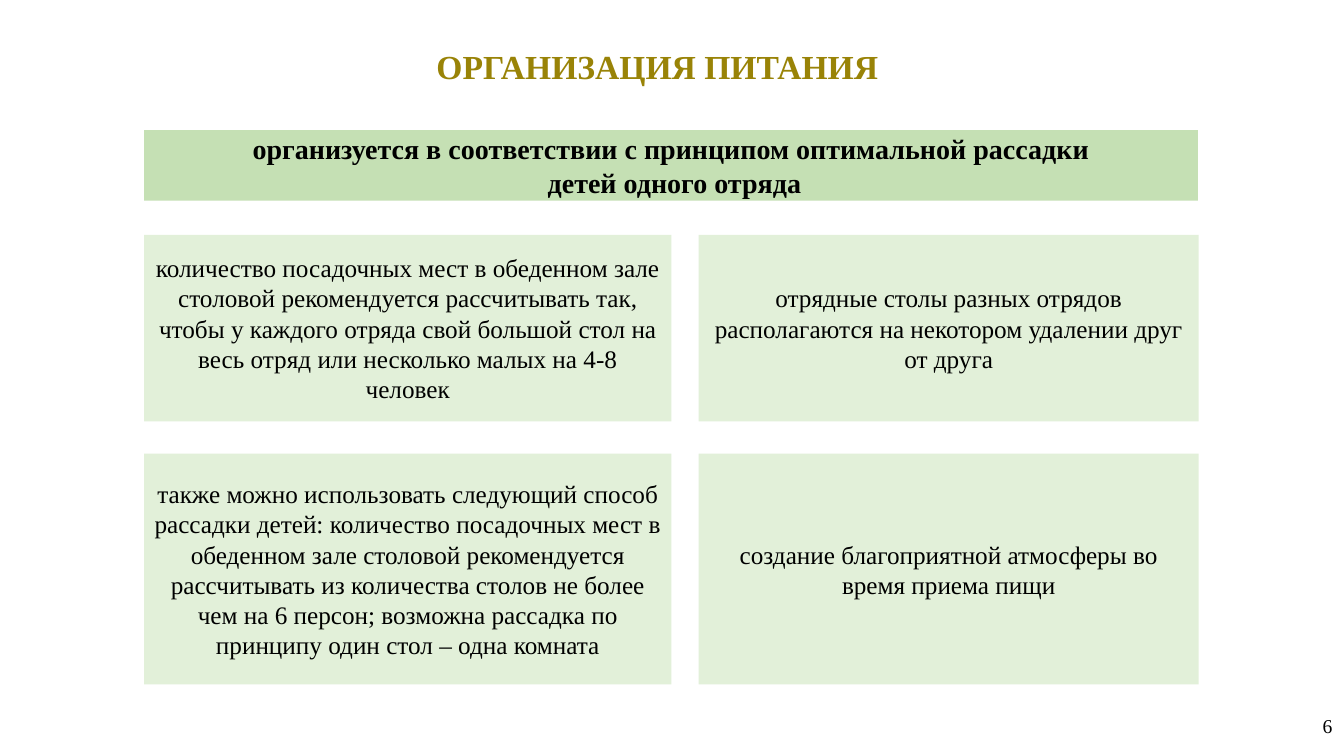
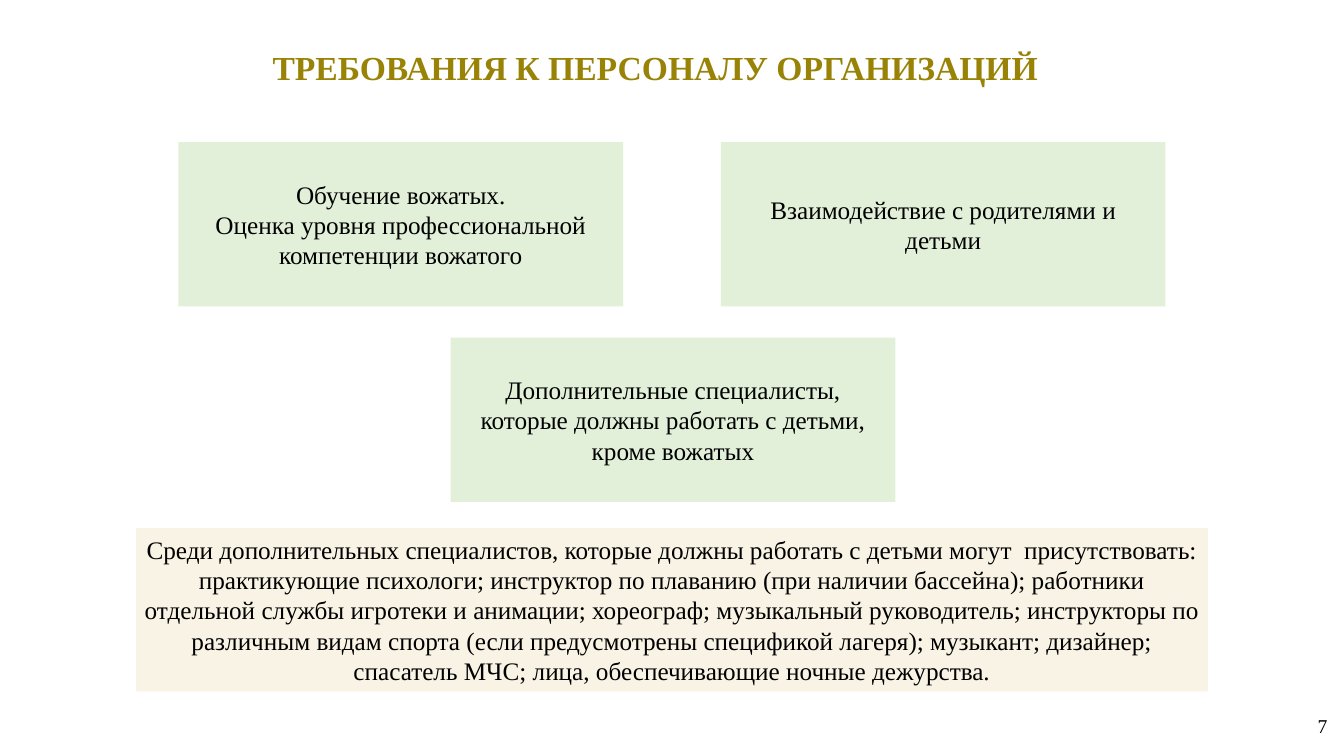
import pptx
import pptx.util
import pptx.dml.color
import pptx.enum.shapes
import pptx.enum.text

Inches, Pt = pptx.util.Inches, pptx.util.Pt
ALIGN = pptx.enum.text.PP_ALIGN
ANCHOR = pptx.enum.text.MSO_ANCHOR
AUTO = pptx.enum.text.MSO_AUTO_SIZE

# Shared style
FONT = "Times New Roman"
GOLD, BLACK = "998307", "000000"
GREEN, LIGHT_GREEN, CREAM = "C5E0B4", "E2F0D9", "F8F3E4"
NORMAL, WIDE, NARROW = (0.1, 0.05), (0.13, 0.07), (0.08, 0.04)  # side, top margins
TITLE_SIZE = (10.24, 0.85)

# Content: meal organisation
MEALS_TITLE = "ОРГАНИЗАЦИЯ ПИТАНИЯ"
PRINCIPLE = ["организуется в соответствии с принципом оптимальной рассадки",
             " детей одного отряда"]
SEATING = [
    ["количество посадочных мест в обеденном зале столовой рекомендуется "
     "рассчитывать так, чтобы у каждого отряда свой большой стол на весь отряд "
     "или несколько малых на 4-8 человек",
     "отрядные столы разных отрядов располагаются на некотором удалении друг от друга"],
    ["также можно использовать следующий способ рассадки детей: количество "
     "посадочных мест в обеденном зале столовой рекомендуется рассчитывать из "
     "количества столов не более чем на 6 персон; возможна рассадка по принципу "
     "один стол – одна комната",
     "создание благоприятной атмосферы во время приема пищи"],
]
SEATING_COLUMNS = [(1.43, 5.23), (6.93, 4.96)]  # left, width
SEATING_ROWS = [(2.33, 1.85), (4.5, 2.29)]      # top, height

# Content: staff requirements
STAFF_TITLE = "ТРЕБОВАНИЯ К ПЕРСОНАЛУ ОРГАНИЗАЦИЙ"
STAFF = [
    (1.77, 1.41, ["Обучение вожатых.",
                  "Оценка уровня профессиональной компетенции вожатого"]),
    (7.15, 1.41, ["Взаимодействие с родителями и детьми"]),
    (4.47, 3.35, ["Дополнительные специалисты, которые должны работать с детьми, "
                  "кроме вожатых"]),
]
STAFF_SIZE = (4.41, 1.63)
SPECIALISTS = (
    "Среди дополнительных специалистов, которые должны работать с детьми могут  "
    "присутствовать: практикующие психологи; инструктор по плаванию (при наличии "
    "бассейна); работники отдельной службы игротеки и анимации; хореограф; "
    "музыкальный руководитель; инструкторы по различным видам спорта (если "
    "предусмотрены спецификой лагеря); музыкант; дизайнер; спасатель МЧС; лица, "
    "обеспечивающие ночные дежурства.")


def rgb(color):
    return pptx.dml.color.RGBColor.from_string(color)


def write(sp, lines, size, color=BLACK, bold=False, margins=NORMAL,
          align=ALIGN.CENTER, **frame):
    tf = sp.text_frame
    side, top = map(Inches, margins)
    settings = {"word_wrap": True, "auto_size": AUTO.NONE,
                "vertical_anchor": ANCHOR.MIDDLE,
                "margin_left": side, "margin_right": side,
                "margin_top": top, "margin_bottom": top, **frame}
    for name, value in settings.items():
        setattr(tf, name, value)
    for i, line in enumerate(lines):
        p = tf.add_paragraph() if i else tf.paragraphs[0]
        p.alignment = align
        r = p.add_run()
        r.text = line
        for name, value in {"name": FONT, "size": Pt(size), "bold": bold}.items():
            setattr(r.font, name, value)
        r.font.color.rgb = rgb(color)


def add_box(s, at, lines, fill=LIGHT_GREEN, size=18, **style):
    sp = s.shapes.add_shape(pptx.enum.shapes.MSO_SHAPE.RECTANGLE, *map(Inches, at))
    sp.shadow.inherit = False
    sp.fill.solid()
    sp.fill.fore_color.rgb = rgb(fill)
    sp.line.fill.background()
    write(sp, lines, size, **style)


def add_slide(prs, title, title_at, number, number_left):
    s = prs.slides.add_slide(prs.slide_layouts[5])
    sp = s.shapes.title
    sp.left, sp.top, sp.width, sp.height = map(Inches, title_at + TITLE_SIZE)
    write(sp, [title], 24, GOLD, bold=True, margins=WIDE)
    # Page number
    sp = s.shapes.add_textbox(*map(Inches, (number_left, 7.03, 0.3, 0.34)))
    write(sp, [str(number)], 14, align=ALIGN.LEFT, word_wrap=False,
          auto_size=AUTO.SHAPE_TO_FIT_TEXT, vertical_anchor=ANCHOR.TOP)
    return s


def main():
    prs = pptx.Presentation()
    prs.slide_width, prs.slide_height = Inches(13.33), Inches(7.5)

    # Meals: heading band over a two-by-two grid
    s = add_slide(prs, MEALS_TITLE, (1.4, 0.23), 6, 13.02)
    add_box(s, (1.43, 1.29, 10.45, 0.7), PRINCIPLE, GREEN, 20, bold=True, margins=WIDE)
    for (top, height), texts in zip(SEATING_ROWS, SEATING):
        for (left, width), text in zip(SEATING_COLUMNS, texts):
            add_box(s, (left, top, width, height), [text])

    # Staff: three equal boxes and a wide note
    s = add_slide(prs, STAFF_TITLE, (1.38, 0.24), 7, 12.97)
    for left, top, lines in STAFF:
        add_box(s, (left, top) + STAFF_SIZE, lines)
    add_box(s, (1.35, 5.24, 10.63, 1.62), [SPECIALISTS], CREAM, margins=NARROW)

    prs.save("out.pptx")


if __name__ == "__main__":
    main()
